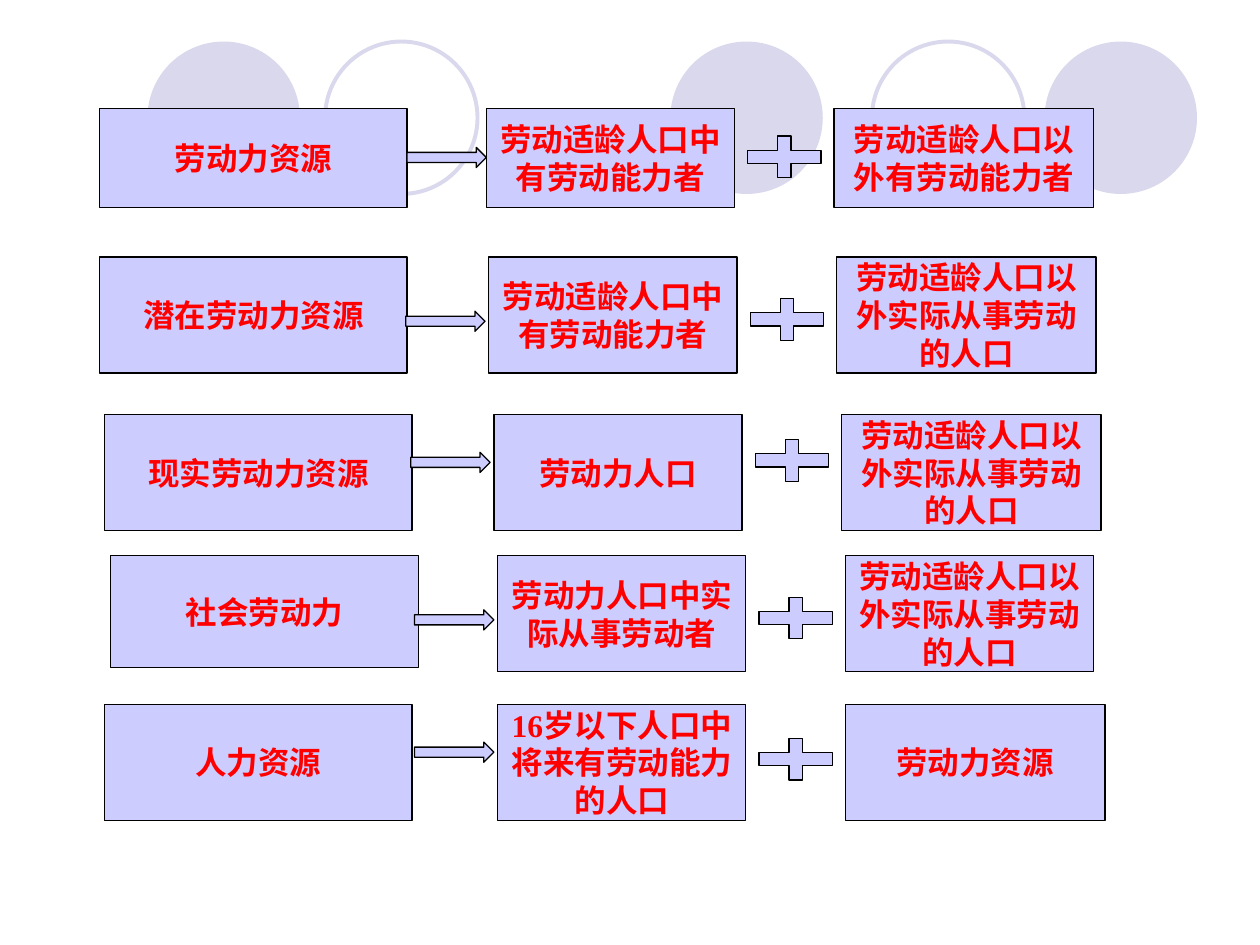
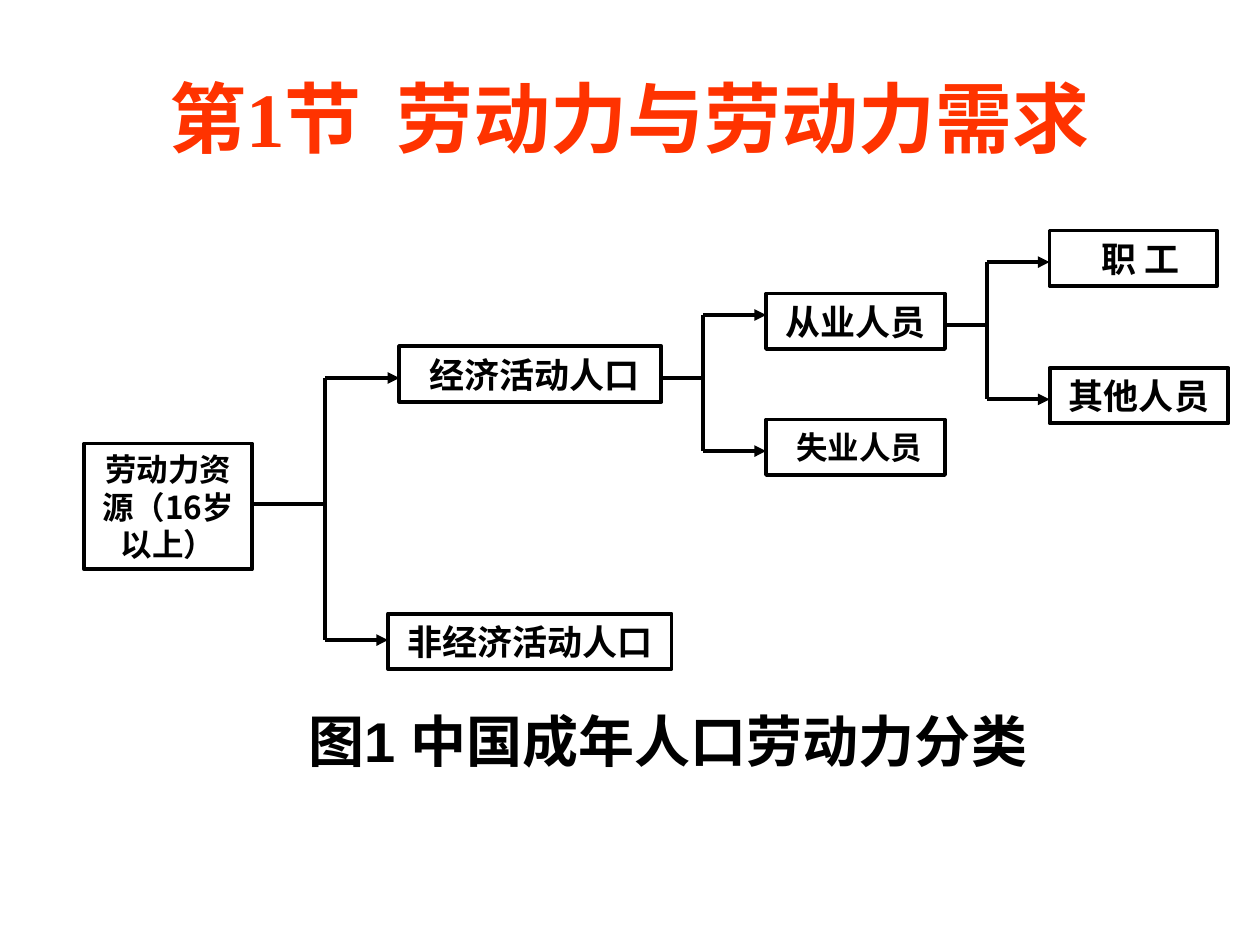
"""Build two slides on labour resources: a sum chart and a class tree."""
from lxml.etree import SubElement
from pptx import Presentation
from pptx.dml.color import RGBColor
from pptx.enum.shapes import MSO_CONNECTOR as LINK, MSO_SHAPE as KIND
from pptx.enum.text import MSO_ANCHOR as ANCHOR, MSO_AUTO_SIZE as FIT, PP_ALIGN as ALIGN
from pptx.oxml import parse_xml
from pptx.oxml.ns import nsdecls, qn
from pptx.util import Inches, Pt

WIDE, HIGH = 10, 7.5
CJK, SANS, SERIF = "Noto Sans CJK SC", "Arial", "Times New Roman"
BLACK, RED, ORANGE = "000000", "FF0000", "FF3300"
LILAC, PALE = "CCCCFF", "D9D8EC"

DISCS = [(5.32, True), (8.29, True), (1.17, True), (6.92, False), (2.58, False)]

# "|" switches a label to the serif face and back
ABLE = "劳动适龄人口中有劳动能力者"
WORK = "劳动|适龄人口|以外实际从事劳动的人口"
SUMS = [
    dict(top=0.86, xs=(0.79, 3.23, 3.86), marks=(1.17, 1.02), highs=(0.79, 0.79), last=2.06,
         words=("劳动力资源", ABLE, "劳动|适龄人口|以外有劳动能力者")),
    dict(top=2.04, xs=(0.79, 3.22, 3.88), marks=(2.47, 2.31), highs=(0.92, 0.92), last=2.06,
         words=("潜在劳动力资源", ABLE, WORK)),
    dict(top=3.29, xs=(0.83, 3.26, 3.92), marks=(3.59, 3.43), highs=(0.92, 0.92), last=2.06,
         words=("现实劳动力资源", "劳动力人口", WORK)),
    dict(top=4.41, xs=(0.88, 3.29, 3.95), marks=(4.84, 4.68), highs=(0.89, 0.92), last=1.97,
         words=("社会劳动力", "劳动力人口中实际从事劳动者", WORK)),
    dict(top=5.59, xs=(0.83, 3.29, 3.95), marks=(5.89, 5.8), highs=(0.92, 0.92), last=2.06,
         words=("人力资源", "|16岁以下人口中将来有劳动能力的人口", "劳动力资源")),
]
MID, PLUS, STEP = 1.97, 0.79, 2.76

TITLE = "第|1|节  劳动力与劳动力需求"
NOTE = "图1 中国成年人口劳动力分类"
NODES = [
    ("劳动力资源（16岁以上）", (0.67, 3.52, 1.33, 1), 18, CJK, 0),
    ("非经济活动人口", (3.08, 4.87, 2.25, 0.44), 20, SERIF, 0),
    ("经济活动人口", (3.17, 2.75, 2.08, 0.44), 20, SERIF, 0.06),
    ("失业人员", (6.08, 3.33, 1.42, 0.44), 18, SERIF, 0.06),
    ("从业人员", (6.08, 2.33, 1.42, 0.44), 20, SERIF, 0),
    ("职 工", (8.33, 1.83, 1.33, 0.44), 20, CJK, 0.12),
    ("其他人员", (8.33, 2.92, 1.42, 0.44), 20, SERIF, 0),
]
FORKS = [
    ((2, 4), 2.58, [(3.17, 3), (3.08, 5.08)]),
    ((5.25, 3), 5.58, [(6.08, 2.5), (6.08, 3.58)]),
    ((7.5, 2.58), 7.83, [(8.33, 2.08), (8.33, 3.17)]),
]


def hue(code):
    return RGBColor.from_string(code)


def put(item, form):
    for name, value in form.items():
        setattr(item, name, value)


def write(shape, words, size, color, face, nudge=0, shade=False):
    frame = shape.text_frame
    put(frame, dict(word_wrap=True, auto_size=FIT.NONE, vertical_anchor=ANCHOR.MIDDLE,
                    margin_left=Inches(0.1 + nudge), margin_right=Inches(0.1),
                    margin_top=Inches(0.05), margin_bottom=Inches(0.05)))
    para = frame.paragraphs[0]
    put(para, dict(alignment=ALIGN.CENTER, space_before=Pt(0)))
    for spot, part in enumerate(words.split("|")):
        if not part:
            continue
        run = para.add_run()
        run.text = part
        put(run.font, dict(size=Pt(size), bold=True, name=SERIF if spot % 2 else face))
        run.font.color.rgb = hue(color)
        props = run.font._element
        SubElement(props, qn("a:ea")).set("typeface", CJK)
        if shade:
            props.find(qn("a:solidFill")).addnext(parse_xml(
                f'<a:effectLst {nsdecls("a")}><a:outerShdw dist="38100" dir="2700000">'
                '<a:srgbClr val="808080"/></a:outerShdw></a:effectLst>'))


def draw(slide, kind, box, fill=None, edge=None, width=0.75):
    shape = slide.shapes.add_shape(kind, *map(Inches, box))
    shape.shadow.inherit = False
    if fill:
        shape.fill.solid()
        shape.fill.fore_color.rgb = hue(fill)
    else:
        shape.fill.background()
    if edge:
        shape.line.color.rgb = hue(edge)
        shape.line.width = Pt(width)
    else:
        shape.line.fill.background()
    return shape


def link(slide, start, end, head=False):
    line = slide.shapes.add_connector(LINK.STRAIGHT, *map(Inches, start + end))
    line.line.color.rgb = hue(BLACK)
    line.line.width = Pt(2.25)
    if head:
        SubElement(line.line._get_or_add_ln(), qn("a:tailEnd")).set("type", "triangle")
    SubElement(line._element.spPr, qn("a:effectLst"))


def place(shape, box):
    put(shape, dict(zip(("left", "top", "width", "height"), map(Inches, box))))


def sums(deck):
    slide = deck.slides.add_slide(deck.slide_layouts[6])
    for x, full in DISCS:
        draw(slide, KIND.OVAL, (x, 0.33, 1.21, 1.21), PALE if full else None,
             None if full else PALE, 2.25)
    for row in SUMS:
        top, (left, tip, mid) = row["top"], row["xs"]
        first, rest = row["highs"]
        arrow, plus = row["marks"]
        boxes = [(left, top, 2.44, first), (mid, top, MID, rest),
                 (mid + STEP, top, row["last"], rest)]
        for box, words in zip(boxes, row["words"]):
            write(draw(slide, KIND.RECTANGLE, box, LILAC, BLACK), words, 18, RED, SANS)
        draw(slide, KIND.RIGHT_ARROW, (tip, arrow, 0.63, 0.16), LILAC, BLACK)
        draw(slide, KIND.MATH_PLUS, (mid + MID, plus, PLUS, 0.45), LILAC, BLACK)


def tree(deck):
    slide = deck.slides.add_slide(deck.slide_layouts[1])
    title, body = slide.placeholders
    place(title, (0.05 * WIDE, 0.04 * HIGH, 0.9 * WIDE, 1.25))
    write(title, TITLE, 44, ORANGE, CJK, shade=True)
    place(body, (1.8, 5.45, 7, 0.85))
    props = body.text_frame.paragraphs[0]._p.get_or_add_pPr()
    put(props, dict(marL=0, indent=0))
    SubElement(props, qn("a:buNone"))
    write(body, NOTE, 32, BLACK, SANS, shade=True)
    for words, box, size, face, nudge in NODES:
        node = draw(slide, KIND.RECTANGLE, box, None, BLACK, 2.25)
        write(node, words, size, BLACK, face, nudge)
    for start, trunk, ends in FORKS:
        link(slide, start, (trunk, start[1]))
        link(slide, (trunk, ends[0][1]), (trunk, ends[1][1]))
        for end in ends:
            link(slide, (trunk, end[1]), end, True)


def main():
    deck = Presentation()
    put(deck, dict(slide_width=Inches(WIDE), slide_height=Inches(HIGH)))
    sums(deck)
    tree(deck)
    deck.save("out.pptx")


if __name__ == "__main__":
    main()
